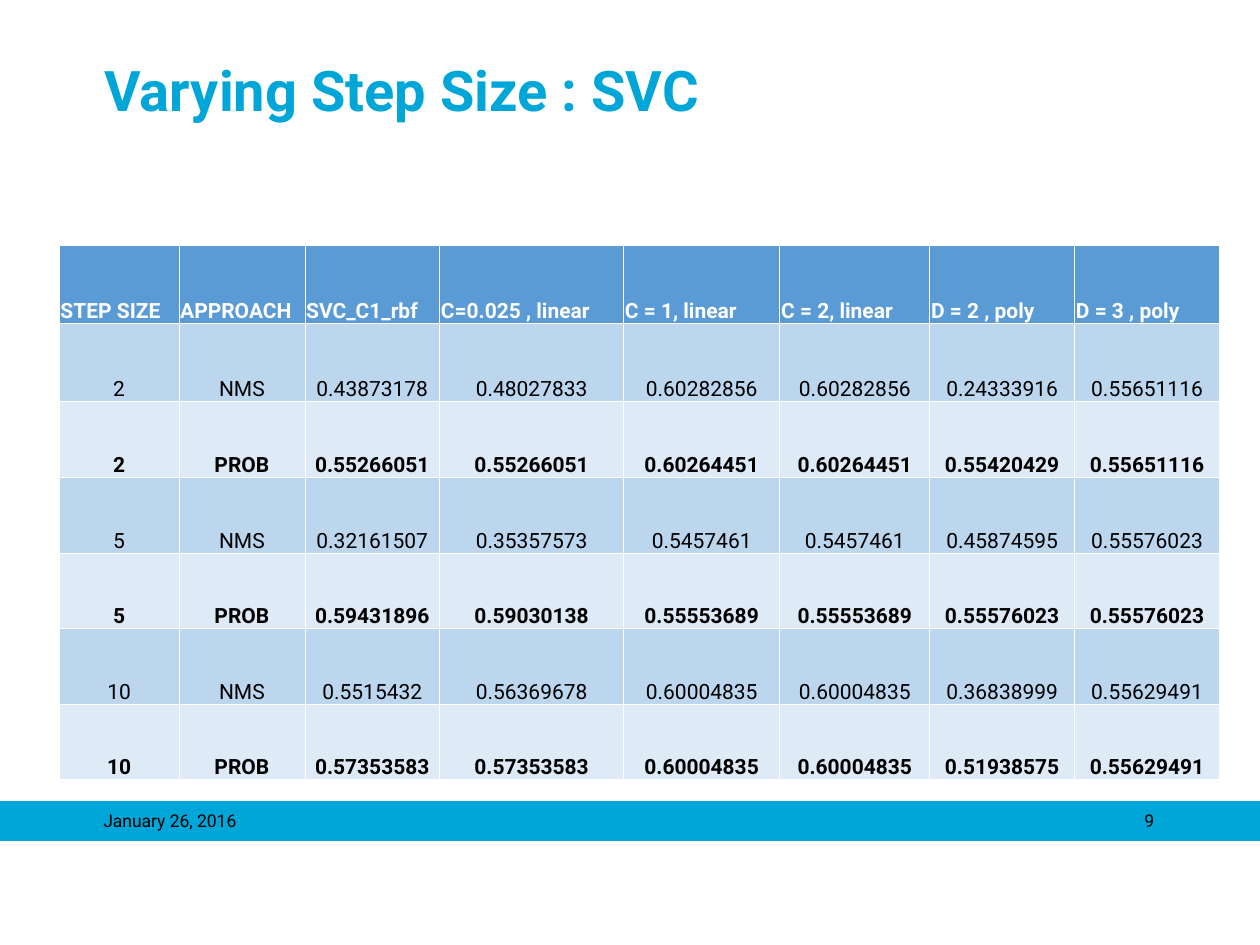
from lxml.etree import SubElement
from pptx import Presentation
from pptx.dml.color import RGBColor
from pptx.enum.shapes import MSO_SHAPE
from pptx.enum.text import MSO_ANCHOR, PP_ALIGN
from pptx.oxml import parse_xml
from pptx.oxml.ns import nsdecls, qn
from pptx.util import Inches, Pt

CYAN = RGBColor(0x00, 0xA6, 0xD7)
BLUE = RGBColor(0x5B, 0x9B, 0xD5)
MID = RGBColor(0xBC, 0xD6, 0xEE)
PALE = RGBColor(0xDE, 0xEB, 0xF6)
WHITE = RGBColor(0xFF, 0xFF, 0xFF)
BLACK = RGBColor(0x00, 0x00, 0x00)

HIGHS = [0.62] * 2 + [0.6] * 5
STEPS = [
    ["STEP SIZE", "APPROACH"],
    ["2", "NMS"],
    ["2", "PROB"],
    ["5", "NMS"],
    ["5", "PROB"],
    ["10", "NMS"],
    ["10", "PROB"],
]
SCORES = [
    ["SVC_C1_rbf", "C=0.025 , linear", "C = 1, linear", "C = 2, linear", "D = 2 , poly", "D = 3 , poly"],
    ["0.43873178", "0.48027833", "0.60282856", "0.60282856", "0.24333916", "0.55651116"],
    ["0.55266051", "0.55266051", "0.60264451", "0.60264451", "0.55420429", "0.55651116"],
    ["0.32161507", "0.35357573", "0.5457461", "0.5457461", "0.45874595", "0.55576023"],
    ["0.59431896", "0.59030138", "0.55553689", "0.55553689", "0.55576023", "0.55576023"],
    ["0.5515432", "0.56369678", "0.60004835", "0.60004835", "0.36838999", "0.55629491"],
    ["0.57353583", "0.57353583", "0.60004835", "0.60004835", "0.51938575", "0.55629491"],
]


def write(frame, text, size=12, color=BLACK, bold=False, align=PP_ALIGN.LEFT):
    para = frame.paragraphs[0]
    para.alignment = align
    run = para.add_run()
    run.text = text
    font = run.font
    font.name, font.size, font.bold = "Roboto", Pt(size), bold
    font.color.rgb = color


class Deck:
    def __init__(self, slide, rule=WHITE):
        self.slide = slide
        self.rule = rule

    def frame(self, shape):
        frame = shape.text_frame
        frame.word_wrap = True
        frame.vertical_anchor = MSO_ANCHOR.TOP
        frame.margin_left = frame.margin_right = 0
        frame.margin_top = frame.margin_bottom = Inches(0.05)
        return frame

    def title(self, text, box):
        shape = self.slide.shapes.title
        shape.left, shape.top, shape.width, shape.height = map(Inches, box)
        write(self.frame(shape), text, size=32, color=CYAN, bold=True)

    def label(self, text, box, **style):
        shape = self.slide.shapes.add_textbox(*map(Inches, box))
        write(self.frame(shape), text, size=10, **style)

    def band(self, box):
        shape = self.slide.shapes.add_shape(MSO_SHAPE.RECTANGLE, *map(Inches, box))
        shape.shadow.inherit = False
        shape.fill.solid()
        shape.fill.fore_color.rgb = CYAN
        shape.line.color.rgb = CYAN
        shape.line.width = Pt(0.75)

    def edge(self, cell):
        props = cell._tc.get_or_add_tcPr()
        for spot, side in enumerate("LRTB"):
            line = parse_xml(f'<a:ln{side} {nsdecls("a")} w="{Pt(0.5)}"/>')
            fill = SubElement(line, qn("a:solidFill"))
            SubElement(fill, qn("a:srgbClr"), val=str(self.rule))
            props.insert(spot, line)

    def cell(self, cell, text, row):
        head, bold = row == 0, row % 2 == 0
        cell.fill.solid()
        cell.fill.fore_color.rgb = BLUE if head else PALE if bold else MID
        cell.vertical_anchor = MSO_ANCHOR.BOTTOM
        cell.margin_left = cell.margin_right = cell.margin_top = Inches(0.01)
        cell.margin_bottom = 0
        write(
            cell.text_frame,
            text,
            color=WHITE if head else BLACK,
            bold=bold,
            align=PP_ALIGN.LEFT if head else PP_ALIGN.CENTER,
        )
        self.edge(cell)

    def table(self, data, left, top, wides):
        size = map(Inches, (left, top, sum(wides), sum(HIGHS)))
        grid = self.slide.shapes.add_table(len(data), len(wides), *size).table
        for col, wide in zip(grid.columns, wides):
            col.width = Inches(wide)
        for row, high in zip(grid.rows, HIGHS):
            row.height = Inches(high)
        for r, line in enumerate(data):
            for c, text in enumerate(line):
                self.cell(grid.cell(r, c), text, r)


def main():
    show = Presentation()
    show.slide_width, show.slide_height = Inches(10), Inches(7.5)
    deck = Deck(show.slides.add_slide(show.slide_layouts[5]))
    deck.band((0, 6.36, 10, 0.31))
    deck.title("Varying Step Size : SVC", (0.83, 0.39, 8.5, 1.25))
    deck.label("January 26, 2016", (0.82, 6.38, 2.08, 0.33))
    deck.label("9", (7.08, 6.38, 2.08, 0.25), align=PP_ALIGN.RIGHT)
    deck.table(SCORES, 2.42, 1.95, [1.07, 1.46, 1.24, 1.19, 1.15, 1.15])
    deck.table(STEPS, 0.47, 1.95, [0.95, 1])
    show.save("out.pptx")


if __name__ == "__main__":
    main()
